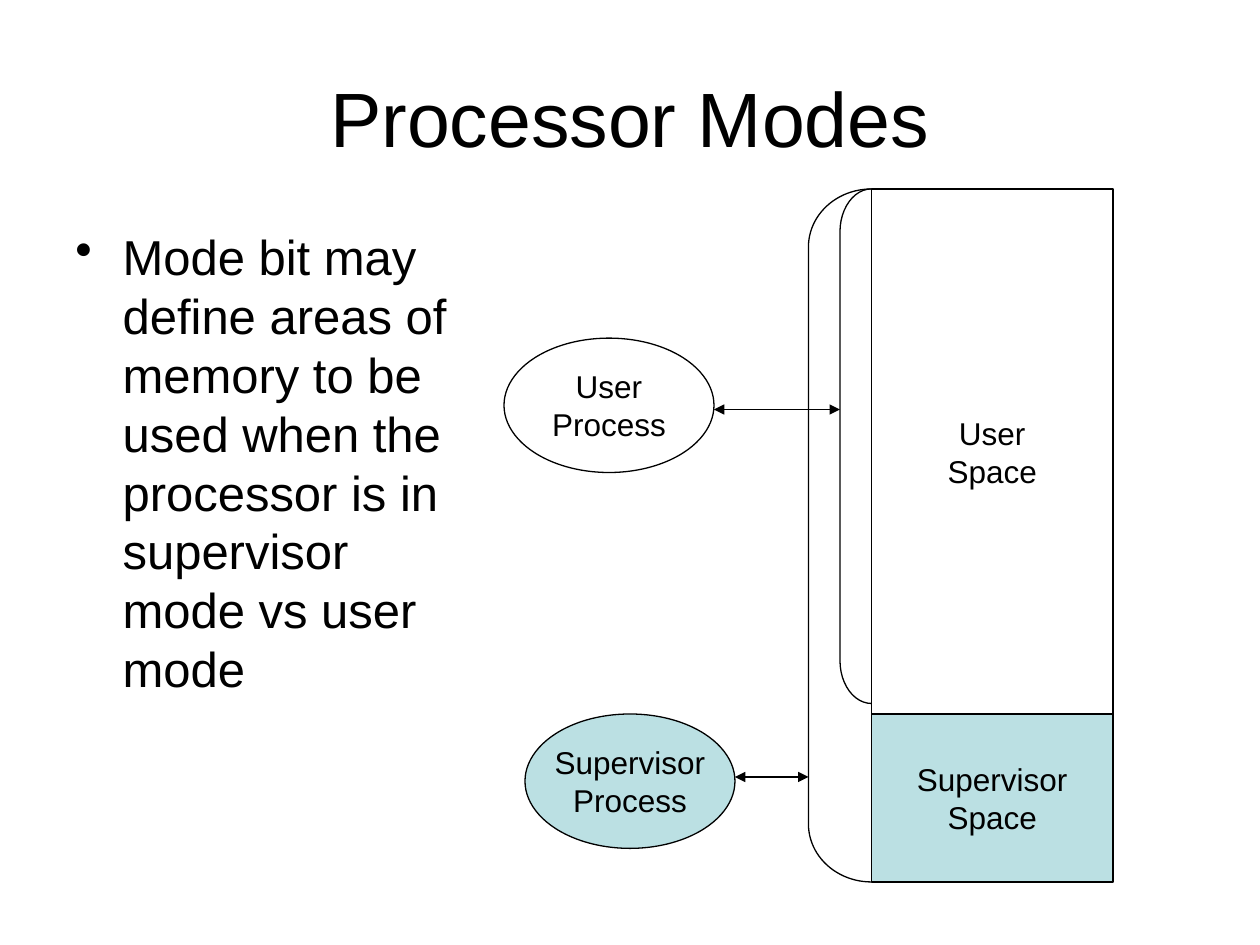
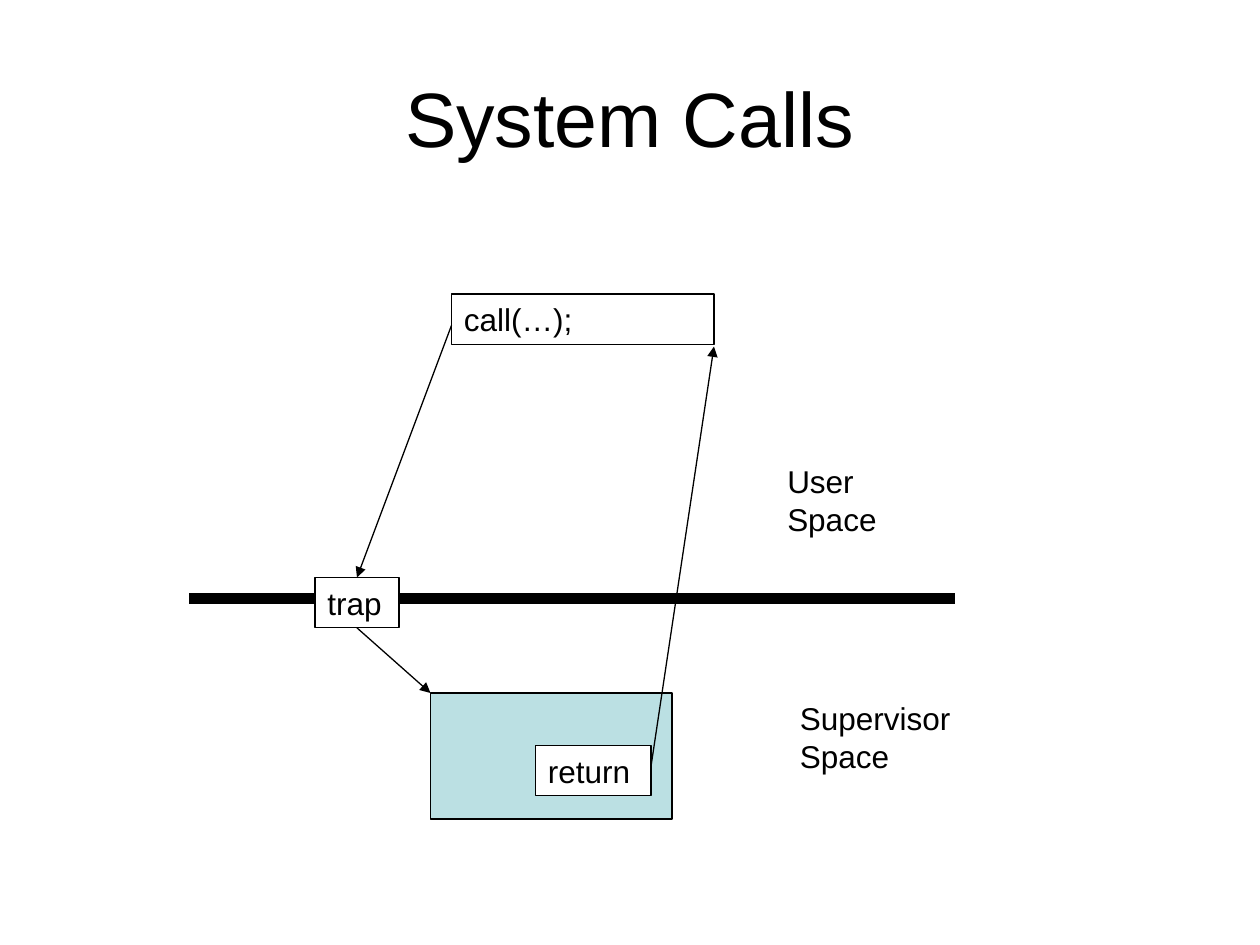
from lxml.etree import SubElement
from pptx import Presentation
from pptx.dml.color import RGBColor
from pptx.enum.shapes import MSO_CONNECTOR, MSO_SHAPE
from pptx.enum.text import MSO_ANCHOR, MSO_AUTO_SIZE, PP_ALIGN
from pptx.oxml.ns import qn
from pptx.util import Pt

SCALE = 7620
FONT = "Arial"
BLACK = "000000"
WHITE = "FFFFFF"
TEAL = "BBE0E3"


def px(*lengths):
    return [length * SCALE for length in lengths]


def colour(code):
    return RGBColor.from_string(code)


def write(shape, text, size=18, align=PP_ALIGN.LEFT, anchor=MSO_ANCHOR.TOP,
          wrap=True, grow=False, bullet_indent=0):
    frame = shape.text_frame
    frame.word_wrap = wrap
    frame.auto_size = MSO_AUTO_SIZE.SHAPE_TO_FIT_TEXT if grow else MSO_AUTO_SIZE.NONE
    frame.vertical_anchor = anchor
    for index, line in enumerate(text.split("\n")):
        para = frame.add_paragraph() if index else frame.paragraphs[0]
        para.alignment = align
        if bullet_indent:
            indent = bullet_indent * SCALE
            settings = para._p.get_or_add_pPr()
            settings.set("marL", str(indent))
            settings.set("indent", str(-indent))
            SubElement(settings, qn("a:buChar"), char="•")
        span = para.add_run()
        span.text = line
        span.font.name = FONT
        span.font.size = Pt(size)
        span.font.color.rgb = colour(BLACK)


def add_text(page, box, text, **style):
    write(page.shapes.add_textbox(*px(*box)), text, **style)


def add_outline(page, kind, box, fill=None):
    shape = page.shapes.add_shape(kind, *px(*box))
    shape.shadow.inherit = False
    if fill:
        shape.fill.solid()
        shape.fill.fore_color.rgb = colour(fill)
    else:
        shape.fill.background()
    shape.line.color.rgb = colour(BLACK)
    shape.line.width = Pt(0.75)
    return shape


def add_line(page, start, end, width=0.75, arrows=()):
    line = page.shapes.add_connector(MSO_CONNECTOR.STRAIGHT, *px(*start, *end))
    line.line.color.rgb = colour(BLACK)
    line.line.width = Pt(width)
    for side in arrows:
        SubElement(line.line._get_or_add_ln(), qn("a:" + side), type="triangle")
    SubElement(line._element.spPr, qn("a:effectLst"))
    return line


def add_page(deck, title):
    page = deck.slides.add_slide(deck.slide_layouts[6])
    add_text(page, (60, 36, 1080, 150), title, size=44,
             align=PP_ALIGN.CENTER, anchor=MSO_ANCHOR.MIDDLE)
    return page


def add_centred(page, kind, box, text, fill=None):
    write(add_outline(page, kind, box, fill), text, align=PP_ALIGN.CENTER,
          anchor=MSO_ANCHOR.MIDDLE, wrap=False)


def draw_memory(page, left, top, width, height):
    user_height = 500
    reach = 60
    block_left, block_width = left + reach, width - reach
    spaces = (("User\nSpace", 0, user_height, WHITE),
              ("Supervisor\nSpace", user_height, height - user_height, TEAL))
    for text, offset, space_height, fill in spaces:
        add_centred(page, MSO_SHAPE.RECTANGLE,
                    (block_left, top + offset, block_width, space_height), text, fill)
    for depth, span_height, bend in ((30, user_height - 10, 1.36), (reach, height, 0.92)):
        bracket = add_outline(page, MSO_SHAPE.LEFT_BRACKET,
                              (block_left - depth, top, depth, span_height))
        bracket.adjustments[0] = bend


def draw_processes(page, left, top):
    processes = (("User\nProcess", 0, 0, 68, 120, None),
                 ("Supervisor\nProcess", 20, 358, 60, 70, TEAL))
    for text, across, down, arrow_down, length, fill in processes:
        x, y = left + across, top + down
        add_centred(page, MSO_SHAPE.OVAL, (x, y, 200, 128), text, fill)
        arrow_left, arrow_top = x + 200, y + arrow_down
        add_line(page, (arrow_left, arrow_top), (arrow_left + length, arrow_top),
                 arrows=("headEnd", "tailEnd"))


def build_processor_modes(deck):
    page = add_page(deck, "Processor Modes")
    add_text(page, (60, 210, 410, 594),
             "Mode bit may define areas of memory to be used when the processor "
             "is in supervisor mode vs user mode", size=28, bullet_indent=45)
    draw_memory(page, 770, 180, 290, 660)
    draw_processes(page, 480, 322)


def add_step(page, left, top, width, text):
    step = add_outline(page, MSO_SHAPE.RECTANGLE, (left, top, width, 48), WHITE)
    write(step, text, grow=True)
    return step


def draw_call_flow(page, left, top):
    def at(x, y):
        return left + x, top + y

    add_outline(page, MSO_SHAPE.RECTANGLE, (*at(230, 380), 230, 120), TEAL)
    add_line(page, at(0, 290), at(730, 290), width=6)
    trap = add_step(page, *at(120, 270), 80, "trap")
    add_step(page, *at(250, 0), 250, "call(…);")
    add_step(page, *at(330, 430), 110, "return")
    enter = add_line(page, at(250, 30), at(160, 270), arrows=("tailEnd",))
    enter.end_connect(trap, 0)
    handle = add_line(page, at(160, 318), at(230, 380), arrows=("tailEnd",))
    handle.begin_connect(trap, 2)
    add_line(page, at(440, 450), at(500, 50), arrows=("tailEnd",))
    add_text(page, (*at(558, 154), 180, 48), "User Space", wrap=False, grow=True)
    add_text(page, (*at(570, 380), 260, 48), "Supervisor Space", wrap=False, grow=True)


def build_system_calls(deck):
    page = add_page(deck, "System Calls")
    draw_call_flow(page, 180, 280)


def main():
    deck = Presentation()
    deck.slide_width, deck.slide_height = px(1200, 900)
    build_processor_modes(deck)
    build_system_calls(deck)
    deck.save("out.pptx")


if __name__ == "__main__":
    main()
